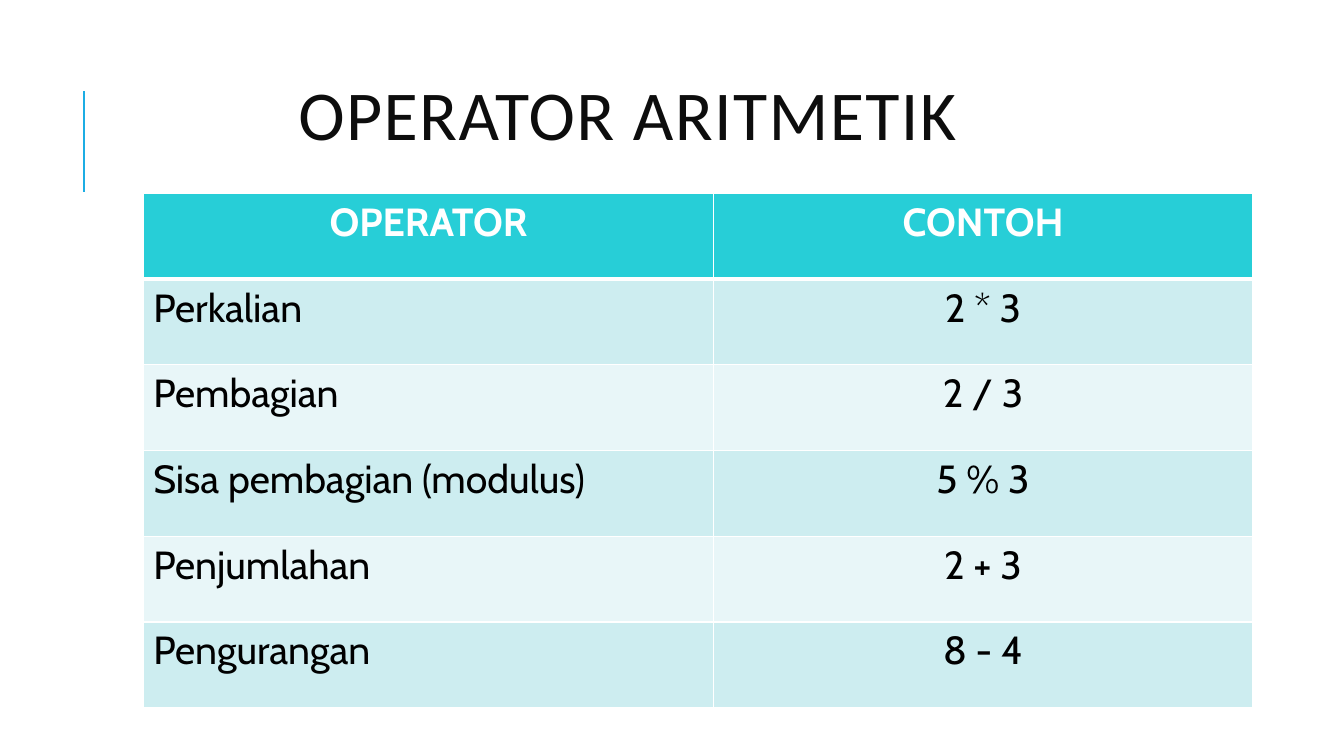
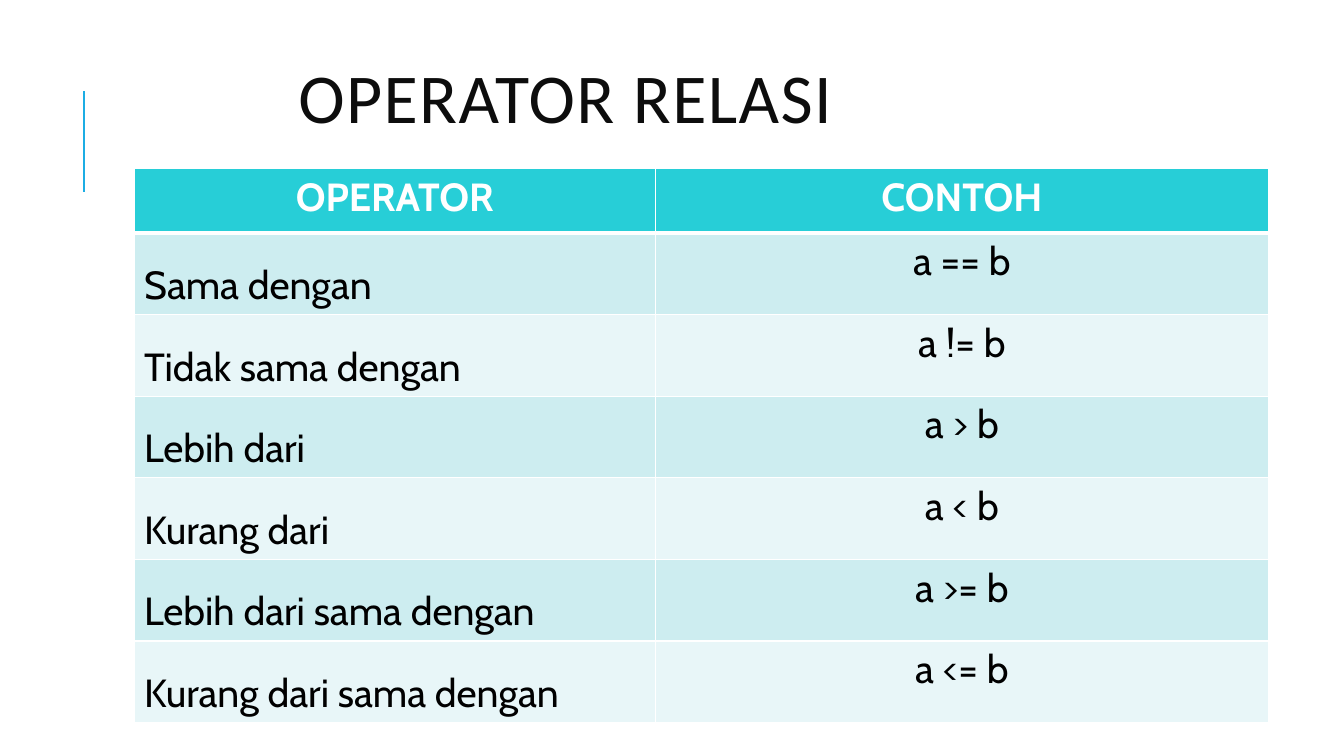
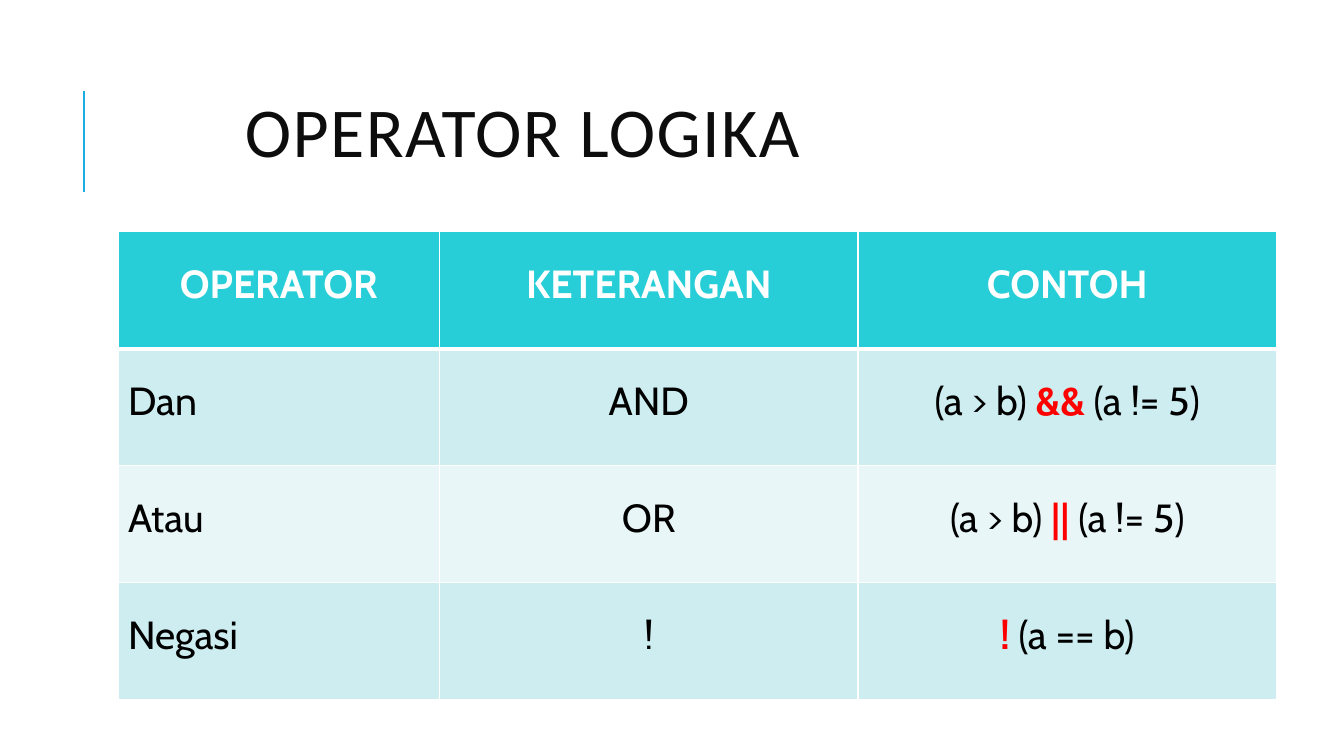
from dataclasses import dataclass

from lxml import etree
from pptx import Presentation
from pptx import util as u
from pptx.dml.color import RGBColor
from pptx.enum import shapes, text
from pptx.oxml.ns import qn


@dataclass(frozen=True)
class Theme:
    ink: str = "0D0D0D"
    text: str = "000000"
    white: str = "FFFFFF"
    rule: str = "1CADE4"
    head: str = "27CED7"
    bands: tuple = ("CDEDF0", "E8F6F8")
    mark: str = "FF0000"
    title_font: str = "Calibri"
    body_font: str = "Cabin"
    title_size: int = 50
    body_size: int = 28
    thin: float = 1
    thick: float = 3


@dataclass(frozen=True)
class Page:
    title: str
    box: tuple      # title left, top, width, height
    left: float     # table corner
    top: float
    cols: tuple
    head: float     # height of the header row
    row: float      # height of each body row
    rows: tuple     # text between ~ signs is marked
    space: tuple    # line spacing: header, first column, other columns


THEME = Theme()

PAGES = (
    Page("OPERATOR ARITMETIK", (2.86, 0.81, 7.62, 0.77),
         1.42, 1.92, (5.66, 5.34), 0.85, 0.85,
         (("OPERATOR", "CONTOH"),
          ("Perkalian", "2 * 3"),
          ("Pembagian", "2 / 3"),
          ("Sisa pembagian (modulus)", "5 % 3"),
          ("Penjumlahan", "2 + 3"),
          ("Pengurangan", "8 - 4")),
         (1.0, 1.0, 1.0)),
    Page("OPERATOR RELASI", (2.86, 0.64, 7.62, 0.77),
         1.33, 1.67, (5.17, 6.08), 0.64, 0.81,
         (("OPERATOR", "CONTOH"),
          ("Sama dengan", "a == b"),
          ("Tidak sama dengan", "a != b"),
          ("Lebih dari", "a > b"),
          ("Kurang dari", "a < b"),
          ("Lebih dari sama dengan", "a >= b"),
          ("Kurang dari sama dengan", "a <= b")),
         (1.0, 1.5, 1.0)),
    Page("OPERATOR LOGIKA", (2.33, 0.89, 8.67, 0.94),
         1.17, 2.3, (3.19, 4.15, 4.15), 1.16, 1.16,
         (("OPERATOR", "KETERANGAN", "CONTOH"),
          ("Dan", "AND", "(a > b) ~&&~ (a != 5)"),
          ("Atau", "OR", "(a > b) ~||~ (a != 5)"),
          ("Negasi", "!", "~!~ (a == b)")),
         (1.5, 1.5, 1.5)),
)


def style(font, hue: str, **form) -> None:
    """Set the colour and the other format values of a font."""
    font.color.rgb = RGBColor.from_string(hue)
    for name, value in form.items():
        setattr(font, name, value)


def add_rule(slide, layout) -> None:
    """Draw the accent line once, on the shared layout."""
    x = u.Inches(0.83)
    line = slide.shapes.add_connector(
        shapes.MSO_CONNECTOR.STRAIGHT, x, u.Inches(1.9), x, u.Inches(0.9))
    line.line.color.rgb = RGBColor.from_string(THEME.rule)
    line.line.width = u.Pt(1.5)
    etree.SubElement(line.element.spPr, qn("a:effectLst"))
    layout.shapes.element.append(line.element)


def add_title(slide, page: Page) -> None:
    title = slide.shapes.title
    for name, value in zip(("left", "top", "width", "height"), page.box):
        setattr(title, name, u.Inches(value))
    frame = title.text_frame
    form = {"text": page.title, "word_wrap": True,
            "auto_size": text.MSO_AUTO_SIZE.NONE,
            "vertical_anchor": text.MSO_ANCHOR.MIDDLE}
    for name, value in form.items():
        setattr(frame, name, value)
    para = frame.paragraphs[0]
    para.alignment, para.line_spacing = text.PP_ALIGN.LEFT, 0.8
    style(para.runs[0].font, THEME.ink, name=THEME.title_font,
          size=u.Pt(THEME.title_size))
    for props in title.element.iter(qn("a:rPr")):
        props.set("spc", "100")


def add_edges(cell, top: float, base: float) -> None:
    """Give a cell white borders."""
    props = cell._tc.get_or_add_tcPr()
    sides = {"L": THEME.thin, "R": THEME.thin, "T": top, "B": base}
    for side, width in sides.items():
        edge = etree.SubElement(props, qn(f"a:ln{side}"), w=str(u.Pt(width)))
        fill = etree.SubElement(edge, qn("a:solidFill"))
        etree.SubElement(fill, qn("a:srgbClr"), val=THEME.white)


def fill_cell(cell, words: str, row: int, col: int, page: Page) -> None:
    head = row == 0
    add_edges(cell, THEME.thick if row == 1 else THEME.thin,
              THEME.thick if head else THEME.thin)
    cell.fill.solid()
    hue = THEME.head if head else THEME.bands[(row - 1) % 2]
    cell.fill.fore_color.rgb = RGBColor.from_string(hue)

    para = cell.text_frame.paragraphs[0]
    centred = head or col > 0
    para.alignment = text.PP_ALIGN.CENTER if centred else text.PP_ALIGN.LEFT
    para.line_spacing = page.space[0 if head else min(col, 1) + 1]
    ink = THEME.white if head else THEME.text
    for n, part in enumerate(words.split("~")):
        if part:
            run = para.add_run()
            run.text = part
            marked = n % 2 == 1
            style(run.font, THEME.mark if marked else ink, bold=head or marked,
                  name=THEME.body_font, size=u.Pt(THEME.body_size))


def add_grid(slide, page: Page) -> None:
    highs = [page.head] + [page.row] * (len(page.rows) - 1)
    sizes = (page.left, page.top, sum(page.cols), sum(highs))
    grid = slide.shapes.add_table(
        len(highs), len(page.cols), *map(u.Inches, sizes)).table
    for col, width in zip(grid.columns, page.cols):
        col.width = u.Inches(width)
    for r, (high, line) in enumerate(zip(highs, page.rows)):
        grid.rows[r].height = u.Inches(high)
        for c, words in enumerate(line):
            fill_cell(grid.cell(r, c), words, r, c, page)


def main() -> None:
    deck = Presentation()
    deck.slide_width, deck.slide_height = u.Inches(13.33), u.Inches(7.5)
    layout = deck.slide_layouts[5]
    for n, page in enumerate(PAGES):
        slide = deck.slides.add_slide(layout)
        if n == 0:
            add_rule(slide, layout)
        add_title(slide, page)
        add_grid(slide, page)
    deck.save("out.pptx")


if __name__ == "__main__":
    main()
